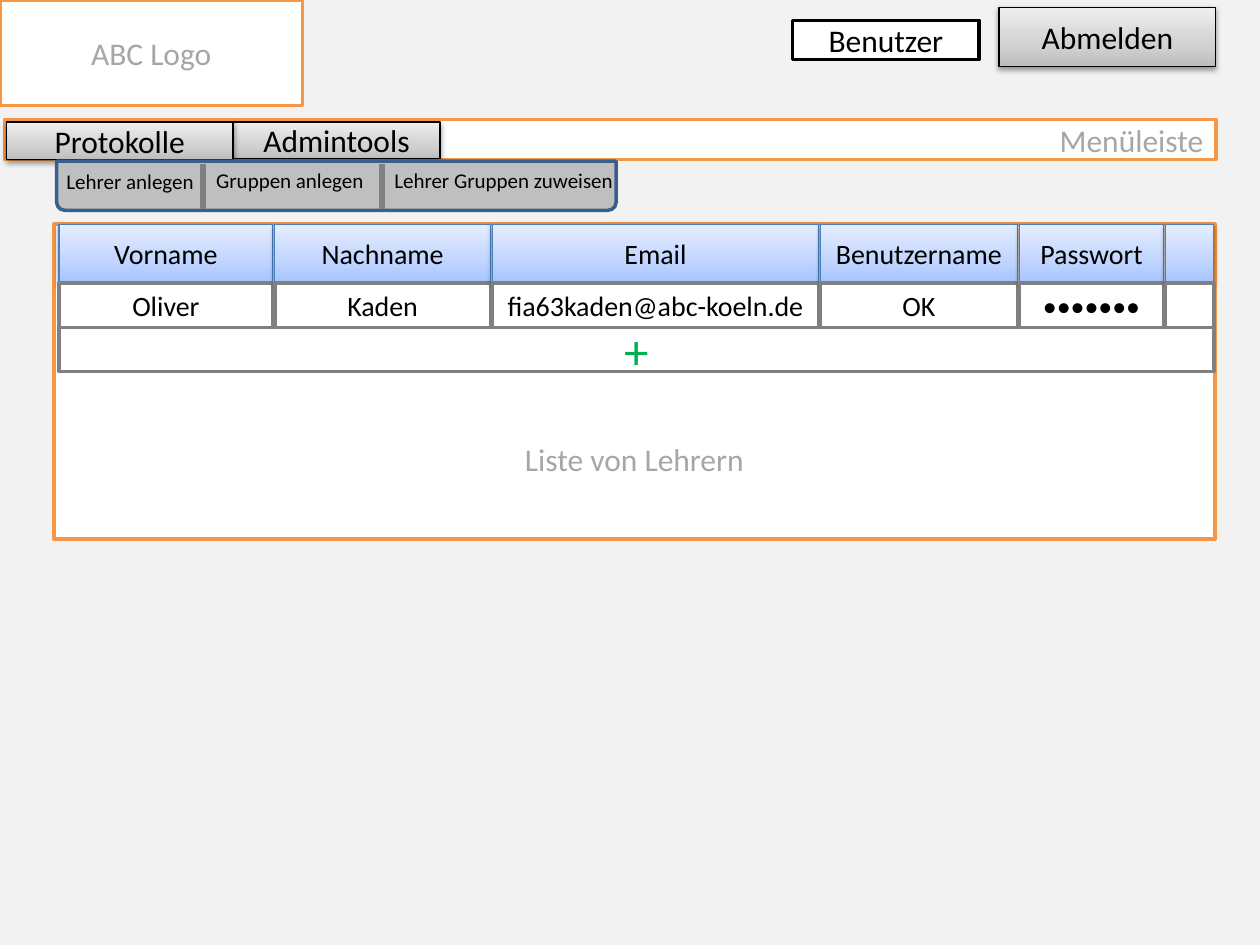
from copy import deepcopy

from lxml.etree import SubElement
from pptx import Presentation
from pptx.dml.color import RGBColor
from pptx.enum.shapes import MSO_CONNECTOR as Connector, MSO_SHAPE as Shape
from pptx.enum.text import MSO_ANCHOR as Anchor, PP_ALIGN as Align
from pptx.oxml.ns import qn
from pptx.util import Cm, Pt

BLACK, WHITE, GREY, PALE = "000000", "FFFFFF", "808080", "A6A6A6"
GREY_BLEND = ("BDBDBD", "D1D1D1", "EEEEEE")
BLUE_BLEND = ("A4C4FF", "BFD4FF", "E6EEFF")

AREA = dict(fill=WHITE, line="F79646", color=PALE)
BUTTON = dict(fill=GREY_BLEND, line=BLACK, weight=0.75)
HEADER = dict(fill=BLUE_BLEND, line="4B7EBC", weight=0.75, size=16)
CELL = dict(fill=WHITE, line=GREY, size=16)

COLUMN_GAP = 0.04
COLUMNS = [  # width, heading, value
    (4.31, "Vorname", "Oliver"),
    (4.35, "Nachname", "Kaden"),
    (6.57, "Email", "fia63kaden@abc-koeln.de"),
    (3.97, "Benutzername", "OK"),
    (2.91, "Passwort", "•••••••"),
    (0.97, "", ""),
]


def rgb(hex_color):
    return RGBColor.from_string(hex_color)


def blend(shape, colors):
    """Fill with three colours, running from bottom to top."""
    shape.fill.gradient()
    shape.fill.gradient_angle = 90
    stop_list = shape._element.spPr.find(qn("a:gradFill")).find(qn("a:gsLst"))
    stop_list.append(deepcopy(stop_list[-1]))
    for stop, color, position in zip(shape.fill.gradient_stops, colors, (0, 0.35, 1)):
        stop.color.rgb = rgb(color)
        stop.position = position


def drop_shadow(shape):
    effects = shape._element.spPr.find(qn("a:effectLst"))
    shadow = SubElement(effects, qn("a:outerShdw"), blurRad="40000",
                        dist="20000", dir="5400000", rotWithShape="0")
    color = SubElement(shadow, qn("a:srgbClr"), val=BLACK)
    SubElement(color, qn("a:alpha"), val="38000")


def write(shape, text, size=18, color=BLACK, align=Align.CENTER):
    shape.text_frame.word_wrap = True
    paragraph = shape.text_frame.paragraphs[0]
    paragraph.alignment = align
    run = paragraph.add_run()
    run.text = text
    formats = {"name": "Calibri", "size": Pt(size)}
    for attribute, value in formats.items():
        setattr(run.font, attribute, value)
    run.font.color.rgb = rgb(color)


def add_box(slide, box, text="", fill=WHITE, line=BLACK, weight=2,
            kind=Shape.RECTANGLE, **text_format):
    """A tuple as fill gives a raised box with a gradient and a shadow."""
    shape = slide.shapes.add_shape(kind, *map(Cm, box))
    shape.shadow.inherit = False
    if isinstance(fill, tuple):
        blend(shape, fill)
        drop_shadow(shape)
    else:
        shape.fill.solid()
        shape.fill.fore_color.rgb = rgb(fill)
    shape.line.color.rgb = rgb(line)
    shape.line.width = Pt(weight)
    shape.text_frame.vertical_anchor = Anchor.MIDDLE
    if text:
        write(shape, text, **text_format)
    return shape


def add_page_header(slide, left, top, width):
    right = left + width
    add_box(slide, (right - 8.53, top + 0.41, 3.76, 0.79), "Benutzer")
    add_box(slide, (left, top, 6.1, 2.13), "ABC Logo", **AREA)
    add_box(slide, (right - 4.37, top + 0.15, 4.37, 1.19), "Abmelden", **BUTTON)


def add_menu_bar(slide, left, top, width, height):
    add_box(slide, (left, top, width, height), "Menüleiste", align=Align.RIGHT, **AREA)
    add_box(slide, (left + 4.6, top + 0.05, 4.17, 0.74), "Admintools", **BUTTON)
    add_box(slide, (left + 0.03, top + 0.05, 4.57, 0.76), "Protokolle", **BUTTON)


def add_submenu(slide, left, top, width, height):
    panel = add_box(slide, (left, top, width, height), fill="BFBFBF",
                    line="3A5F8C", kind=Shape.ROUND_2_SAME_RECTANGLE)
    panel.rotation = 180
    entries = [(-0.05, 0.03, 3.2, "Lehrer anlegen"),
               (2.97, 0, 3.63, "Gruppen anlegen"),
               (6.56, 0, 5.41, "Lehrer Gruppen zuweisen")]
    for x, y, entry_width, text in entries:
        entry = slide.shapes.add_textbox(
            Cm(left + x), Cm(top + y), Cm(entry_width), Cm(0.76))
        write(entry, text, size=12, align=Align.LEFT)
    for x in (2.95, 6.56):
        divider = slide.shapes.add_connector(
            Connector.STRAIGHT, Cm(left + x), Cm(top + height - 0.02),
            Cm(left + x), Cm(top + 0.05))
        divider.line.color.rgb = rgb(GREY)
        divider.line.width = Pt(3)
        SubElement(divider._element.spPr, qn("a:effectLst"))


def add_teacher_list(slide, left, top, width, height):
    header_height, row_height = 1.19, 0.89
    area = add_box(slide, (left, top, width, height), "Liste von Lehrern", **AREA)
    area.text_frame.margin_top = Cm(3.22)
    row_top = top + header_height
    x = left + 0.1
    for column_width, heading, value in COLUMNS:
        add_box(slide, (x, top, column_width, header_height), heading, **HEADER)
        add_box(slide, (x, row_top, column_width, row_height), value, **CELL)
        x += column_width + COLUMN_GAP
    add_row = {**CELL, "size": 28, "color": "00B050"}
    add_box(slide, (left + 0.1, row_top + row_height, width - 0.12, row_height),
            "+", **add_row)


def main():
    deck = Presentation()
    deck.slide_width, deck.slide_height = Cm(25.4), Cm(19.05)
    slide = deck.slides.add_slide(deck.slide_layouts[6])
    slide.background.fill.solid()
    slide.background.fill.fore_color.rgb = rgb("F2F2F2")
    add_page_header(slide, 0, 0, 24.51)
    add_menu_bar(slide, 0.1, 2.41, 24.41, 0.81)
    add_submenu(slide, 1.14, 3.25, 11.28, 0.99)
    add_teacher_list(slide, 1.09, 4.52, 23.4, 6.35)
    deck.save("out.pptx")


if __name__ == "__main__":
    main()
